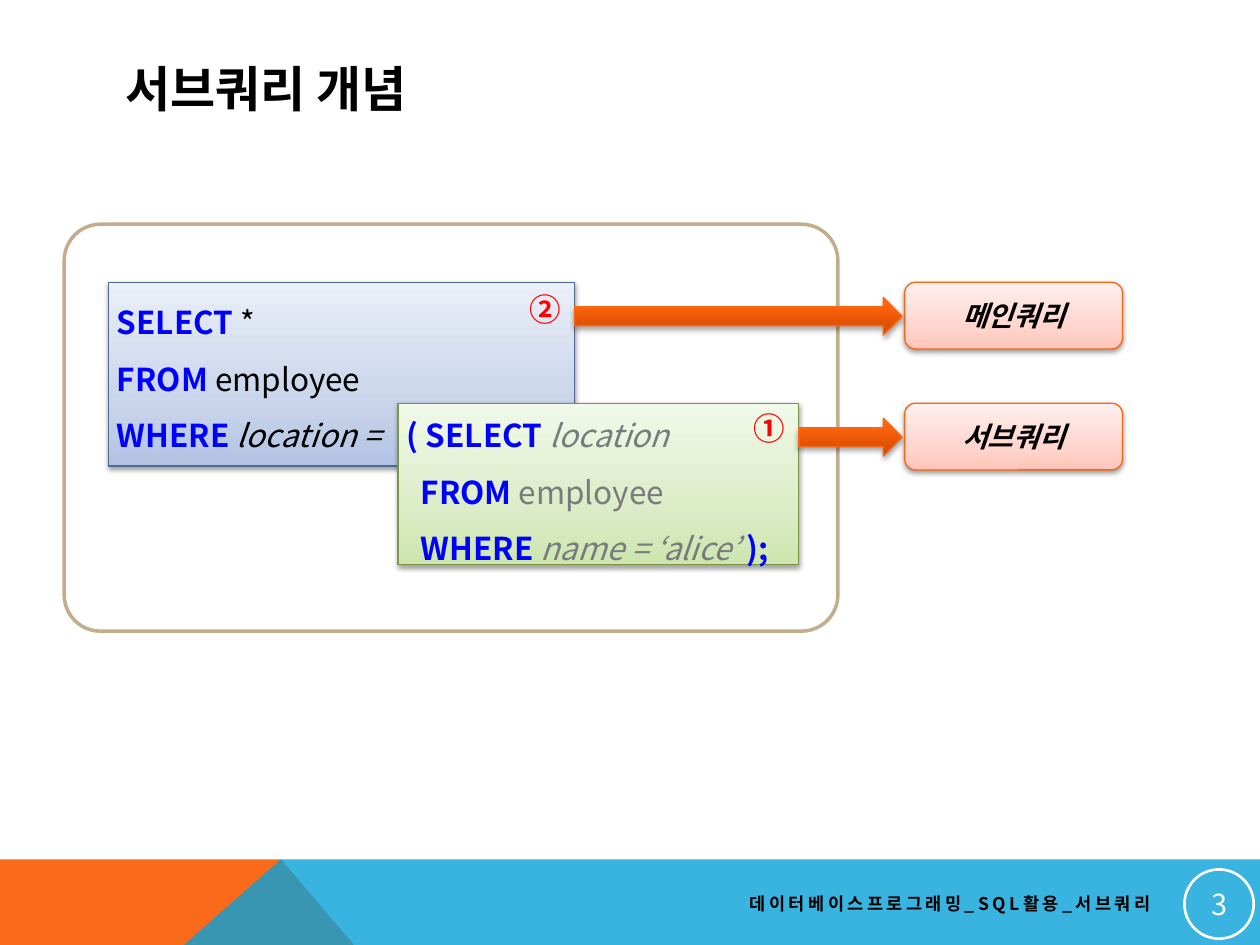
from lxml import etree
from pptx import Presentation
from pptx.dml.color import RGBColor
from pptx.enum.shapes import MSO_SHAPE
from pptx.enum.text import MSO_ANCHOR, PP_ALIGN
from pptx.oxml import parse_xml
from pptx.oxml.ns import nsdecls, qn
from pptx.util import Inches, Pt

RECT, ROUND = MSO_SHAPE.RECTANGLE, MSO_SHAPE.ROUNDED_RECTANGLE
ARROW, OVAL = MSO_SHAPE.RIGHT_ARROW, MSO_SHAPE.OVAL
LEFT, CENTER, RIGHT = PP_ALIGN.LEFT, PP_ALIGN.CENTER, PP_ALIGN.RIGHT
TOP, MIDDLE = MSO_ANCHOR.TOP, MSO_ANCHOR.MIDDLE
FONT = "Noto Sans CJK KR"
COLORS = {
    "white": "FFFFFF", "black": "000000", "keyword": "0000FF", "muted": "797B7E",
    "step": "FF0000", "orange": "F96A1B", "sky": "08A1D9", "frame": "C2AD8D",
}
# Line colour, shadow opacity, shadow distance, gradient stops from bottom to top
STYLES = {
    "main": ("4D6B92", 38, 1.6, [(0, "B2C3E3"), (35, "C9D5EA"), (100, "EAEFF8")]),
    "sub": ("7A9746", 38, 1.6, [(0, "CDE6AF"), (35, "DCECC7"), (100, "F1F9E9")]),
    "label": ("F96615", 38, 1.6, [(0, "FFC5BA"), (35, "FFD6CF"), (100, "FFEFED")]),
    "arrow": ("F96615", 35, 1.8, [(0, "CE4900"), (80, "FF630C"), (100, "FF640E")]),
}

prs = Presentation()
prs.slide_width, prs.slide_height = Inches(10), Inches(7.5)
slide = prs.slides.add_slide(prs.slide_layouts[6])
shapes = slide.shapes


def write(lines, box=None, shape=None, size=18, color="black", bold=False, italic=False,
          align=LEFT, anchor=MIDDLE, wrap=True, spacing=None, tracking=None, margin=None):
    """Write lines of (text, format) runs into a shape or a new text box."""
    shape = shape or shapes.add_textbox(*map(Inches, box))
    frame = shape.text_frame
    frame.word_wrap, frame.vertical_anchor = wrap, anchor
    if margin is not None:
        frame.margin_left = frame.margin_right = Inches(margin)
        frame.margin_top = frame.margin_bottom = Inches(margin)
    for i, (indent, runs) in enumerate(lines):
        paragraph = frame.add_paragraph() if i else frame.paragraphs[0]
        paragraph.alignment = align
        if spacing:
            paragraph.line_spacing = spacing
        if indent:
            paragraph._p.get_or_add_pPr().set("marL", str(Inches(indent)))
        for text, changes in runs:
            look = {"color": color, "bold": bold, "italic": italic, **changes}
            run = paragraph.add_run()
            run.text = text
            font = run.font
            font.name, font.size = FONT, Pt(size)
            font.bold, font.italic = look["bold"], look["italic"]
            font.color.rgb = RGBColor.from_string(COLORS[look["color"]])
            props = run._r.get_or_add_rPr()
            etree.SubElement(props, qn("a:ea")).set("typeface", FONT)
            if tracking:
                props.set("spc", str(tracking * 100))


def panel(kind, box, style):
    """Add a shape with a vertical gradient, a thin line and a soft shadow."""
    line, opacity, distance, stops = STYLES[style]
    shape = shapes.add_shape(kind, *map(Inches, box))
    shape.line.color.rgb = RGBColor.from_string(line)
    shape.line.width = Pt(0.75)
    stop_xml = "".join(f'<a:gs pos="{pos * 1000}"><a:srgbClr val="{color}"/></a:gs>'
                       for pos, color in stops)
    props = shape._element.spPr
    props.find(qn("a:prstGeom")).addnext(parse_xml(
        f'<a:gradFill {nsdecls("a")} rotWithShape="1"><a:gsLst>{stop_xml}</a:gsLst>'
        '<a:lin ang="16200000" scaled="0"/></a:gradFill>'))
    props.append(parse_xml(
        f'<a:effectLst {nsdecls("a")}><a:outerShdw blurRad="{Pt(3.1)}" dist="{Pt(distance)}" '
        'dir="5400000" rotWithShape="0"><a:srgbClr val="000000">'
        f'<a:alpha val="{opacity * 1000}"/></a:srgbClr></a:outerShdw></a:effectLst>'))
    return shape


# Footer band
band_top, band_bottom, peak = 6.82, 7.5, 2.23
bands = [
    ("orange", 100, [(0, band_top), (peak, band_top), (2.81, band_bottom), (0, band_bottom)]),
    ("sky", 80, [(1.46, band_bottom), (peak, band_top), (10, band_top), (10, band_bottom)]),
]
for color, opacity, points in bands:
    corners = [(Inches(x), Inches(y)) for x, y in points]
    builder = shapes.build_freeform(*corners[0])
    builder.add_line_segments(corners[1:], close=True)
    band = builder.convert_to_shape()
    band.shadow.inherit = False
    band.line.fill.background()
    band.fill.solid()
    band.fill.fore_color.rgb = RGBColor.from_string(COLORS[color])
    if opacity < 100:
        tint = band._element.spPr.find(qn("a:solidFill"))[0]
        etree.SubElement(tint, qn("a:alpha")).set("val", str(opacity * 1000))

# Query frame and query panels
query_frame = shapes.add_shape(ROUND, *map(Inches, (0.51, 1.78, 6.14, 3.23)))
query_frame.adjustments[0] = 0.089
query_frame.shadow.inherit = False
query_frame.fill.solid()
query_frame.fill.fore_color.rgb = RGBColor.from_string(COLORS["white"])
query_frame.line.color.rgb = RGBColor.from_string(COLORS["frame"])
query_frame.line.width = Pt(2)

main_top, sub_top = 2.24, 3.2
panel(RECT, (0.86, main_top, 3.7, 1.46), "main")
panel(RECT, (3.16, sub_top, 3.18, 1.28), "sub")

write([(0, [("서브쿼리 개념", {})])], (0.9, 0.4, 8.22, 0.6), size=28, bold=True)

# Query text
keyword = {"color": "keyword", "bold": True, "italic": False}
slanted = {"italic": True}
write([
    (0, [("SELECT\u00a0", keyword), ("*", {})]),
    (0, [("FROM\u00a0", keyword), ("employee", {})]),
    (0, [("WHERE\u00a0", keyword), ("location =", slanted)]),
], (0.83, 2.24, 2.6, 1.38), spacing=1.5)
write([
    (0, [("( SELECT\u00a0", keyword), ("location", slanted)]),
    (0.11, [("FROM\u00a0", keyword), ("employee", {})]),
    (0.11, [("WHERE\u00a0", keyword), ("name = ‘alice’ ", slanted), (");", keyword)]),
], (3.13, 3.03, 4.65, 1.59), color="muted", spacing=1.5)

# Step numbers, labels and arrows
label_left, arrow_end = 7.18, 7.16
steps = [("②", 4.1, 2.25, "메인쿼리", main_top, 4.56),
         ("①", 5.88, 3.2, "서브쿼리", sub_top, 6.34)]
for number, number_left, number_top, label, top, arrow_left in steps:
    write([(0, [(number, {})])], (number_left, number_top, 0.45, 0.4), color="step",
          bold=True, anchor=TOP, wrap=False)
    write([(0, [(label, {})])], shape=panel(ROUND, (label_left, top, 1.73, 0.53), "label"),
          size=16, bold=True, italic=True, align=CENTER)
    panel(ARROW, (arrow_left, top + 0.12, arrow_end - arrow_left, 0.3), "arrow")

# Footer text and page number
write([(0, [("데이터베이스프로그래밍_SQL활용_서브쿼리", {})])], (4.06, 7.02, 5.17, 0.3),
      size=10, bold=True, align=RIGHT, tracking=2)
page_badge = shapes.add_shape(OVAL, *map(Inches, (9.4, 6.9, 0.55, 0.55)))
page_badge.shadow.inherit = False
page_badge.fill.background()
page_badge.line.color.rgb = RGBColor.from_string(COLORS["white"])
page_badge.line.width = Pt(1.5)
write([(0, [("3", {})])], shape=page_badge, size=16.5, color="white", align=CENTER, margin=0.01)

prs.save("out.pptx")
